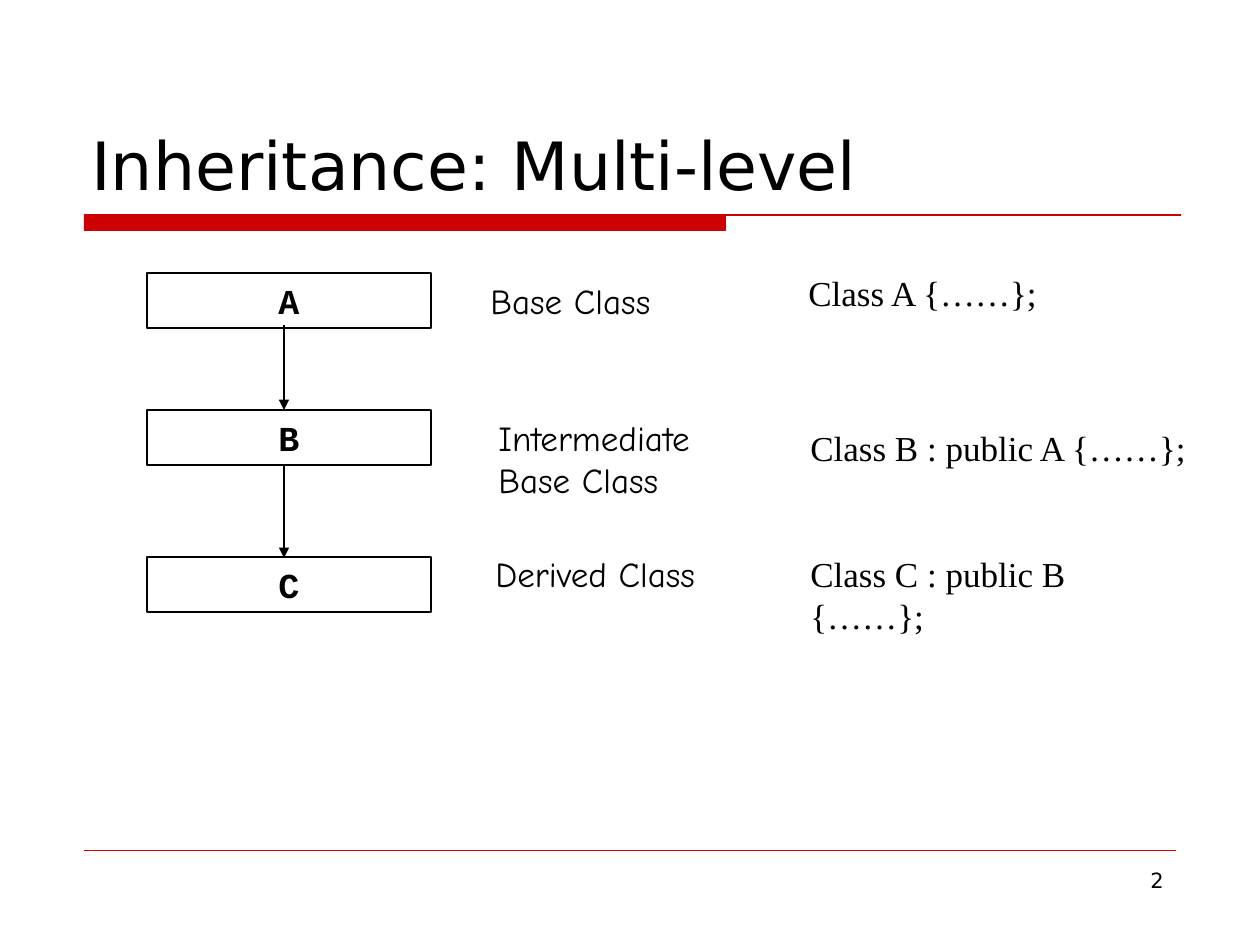
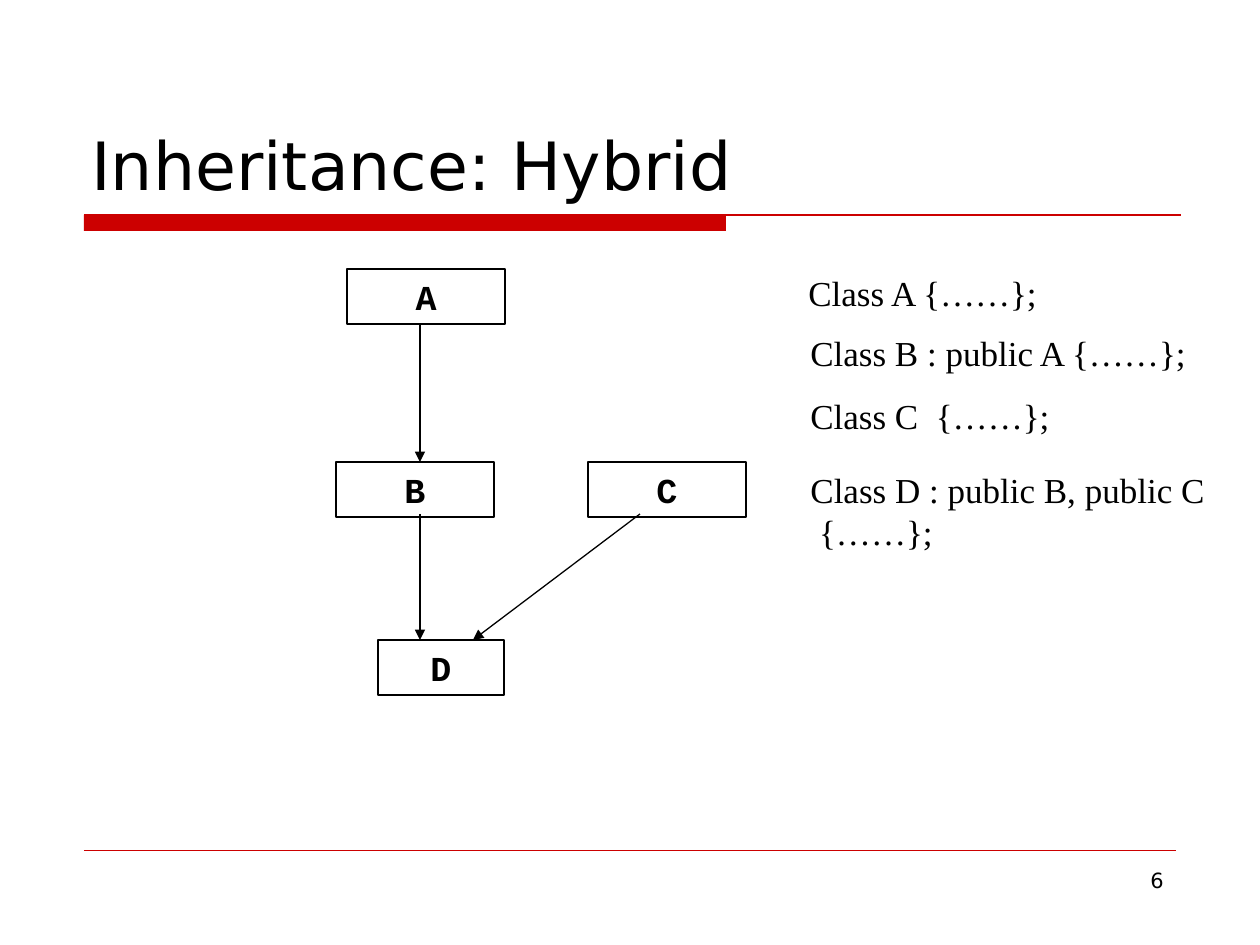
from lxml.etree import SubElement
from pptx import Presentation
from pptx.dml.color import RGBColor
from pptx.enum.shapes import MSO_CONNECTOR, MSO_SHAPE
from pptx.enum.text import MSO_ANCHOR, MSO_AUTO_SIZE, PP_ALIGN
from pptx.oxml.ns import qn
from pptx.util import Emu, Pt

EMU_PER_PX = 914400 / 126
BLACK, RED, WHITE = "000000", "CC0000", "FFFFFF"
HEADING_FONT = "DejaVu Sans"
NODE_FONT = "Courier New"
ROLE_FONT = "Comic Neue"
CODE_FONT = "Times New Roman"
NODE_HEIGHT = 55
BODY = (84, 252, 1092, 580)  # left, top, width, height


def px(length):
    return Emu(round(length * EMU_PER_PX))


def color(hex_string):
    return RGBColor.from_string(hex_string)


def write(frame, lines, font, size, align=PP_ALIGN.LEFT, bold=False):
    for index, line in enumerate(lines):
        paragraph = frame.paragraphs[0] if index == 0 else frame.add_paragraph()
        paragraph.alignment = align
        run = paragraph.add_run()
        run.text = line
        run.font.name = font
        run.font.size = Pt(size)
        run.font.bold = bold
        run.font.color.rgb = color(BLACK)


def add_text(slide, box, lines, font, size, align=PP_ALIGN.LEFT,
             anchor=MSO_ANCHOR.TOP, wrap=True):
    frame = slide.shapes.add_textbox(*map(px, box)).text_frame
    frame.word_wrap = wrap
    frame.vertical_anchor = anchor
    if not wrap:
        frame.auto_size = MSO_AUTO_SIZE.SHAPE_TO_FIT_TEXT
    write(frame, lines, font, size, align)


def add_line(slide, start, end, hex_string, width, arrow=False):
    line = slide.shapes.add_connector(
        MSO_CONNECTOR.STRAIGHT, *map(px, (*start, *end)))
    line.line.color.rgb = color(hex_string)
    line.line.width = Pt(width)
    if arrow:
        SubElement(line.line._get_or_add_ln(), qn("a:tailEnd"), type="triangle")
    SubElement(line._element.spPr, qn("a:effectLst"))


def add_rect(slide, box):
    rect = slide.shapes.add_shape(MSO_SHAPE.RECTANGLE, *map(px, box))
    rect.shadow.inherit = False
    return rect


def add_frame(slide, title, number):
    """Background, title with its red band, and footer."""
    slide.background.fill.solid()
    slide.background.fill.fore_color.rgb = color(WHITE)

    # Title band
    band = add_rect(slide, (84, 215, 642, 16))
    band.fill.solid()
    band.fill.fore_color.rgb = color(RED)
    band.line.fill.background()
    add_line(slide, (84, 215), (1181, 215), RED, 0.75)

    # Footer rule, title and slide number
    add_line(slide, (84, 850), (1176, 850), RED, 0.25)
    add_text(slide, (79, 42, 1103, 168), [title], HEADING_FONT, 38,
             anchor=MSO_ANCHOR.BOTTOM)
    add_text(slide, (903, 861, 273, 66), [number], HEADING_FONT, 12,
             PP_ALIGN.RIGHT)


def add_diagram(slide, box, nodes, arrows):
    """Class boxes (letter, x, y, width) and the arrows between them."""
    left, top = box[:2]
    for letter, x, y, width in nodes:
        node = add_rect(slide, (left + x, top + y, width, NODE_HEIGHT))
        node.fill.background()
        node.line.color.rgb = color(BLACK)
        node.line.width = Pt(0.75)
        node.text_frame.word_wrap = True
        node.text_frame.vertical_anchor = MSO_ANCHOR.MIDDLE
        write(node.text_frame, [letter], NODE_FONT, 20, PP_ALIGN.CENTER, True)
    for x1, y1, x2, y2 in arrows:
        add_line(slide, (left + x1, top + y1), (left + x2, top + y2),
                 BLACK, 0.75, arrow=True)


def add_captions(slide, box, font, captions):
    """Unwrapped captions (x, y, width, lines) in one font."""
    left, top = box[:2]
    for x, y, width, lines in captions:
        height = NODE_HEIGHT + 42 * (len(lines) - 1)
        add_text(slide, (left + x, top + y, width, height), lines, font, 20,
                 wrap=False)


def build_multi_level(slide):
    add_frame(slide, "Inheritance: Multi-level", "2")
    add_diagram(
        slide, BODY,
        nodes=[("A", 63, 21, 284), ("B", 63, 158, 284), ("C", 63, 305, 284)],
        arrows=[(200, 73, 200, 158), (200, 212, 200, 306)])
    add_captions(slide, BODY, ROLE_FONT, [
        (394, 21, 185, ["Base Class"]),
        (402, 158, 218, ["Intermediate", "Base Class"]),
        (399, 294, 226, ["Derived Class"])])
    add_captions(slide, BODY, CODE_FONT, [
        (712, 13, 257, ["Class A {……};"]),
        (714, 168, 404, ["Class B : public A {……};"]),
        (714, 294, 402, ["Class C : public B {……};"])])


def build_hybrid(slide):
    add_frame(slide, "Inheritance: Hybrid", "6")
    add_diagram(
        slide, BODY,
        nodes=[("A", 263, 17, 158), ("B", 252, 210, 158),
               ("C", 504, 210, 158), ("D", 294, 388, 126)],
        arrows=[(336, 73, 336, 210), (336, 262, 336, 388),
                (556, 262, 389, 388)])
    add_captions(slide, BODY, CODE_FONT, [
        (712, 13, 257, ["Class A {……};"]),
        (714, 73, 404, ["Class B : public A {……};"]),
        (714, 136, 265, ["Class C  {……};"]),
        (714, 210, 420, ["Class D : public B, public C", " {……};"])])


def main():
    deck = Presentation()
    deck.slide_width, deck.slide_height = px(1260), px(945)
    for build in (build_multi_level, build_hybrid):
        build(deck.slides.add_slide(deck.slide_layouts[6]))
    deck.save("out.pptx")


if __name__ == "__main__":
    main()
